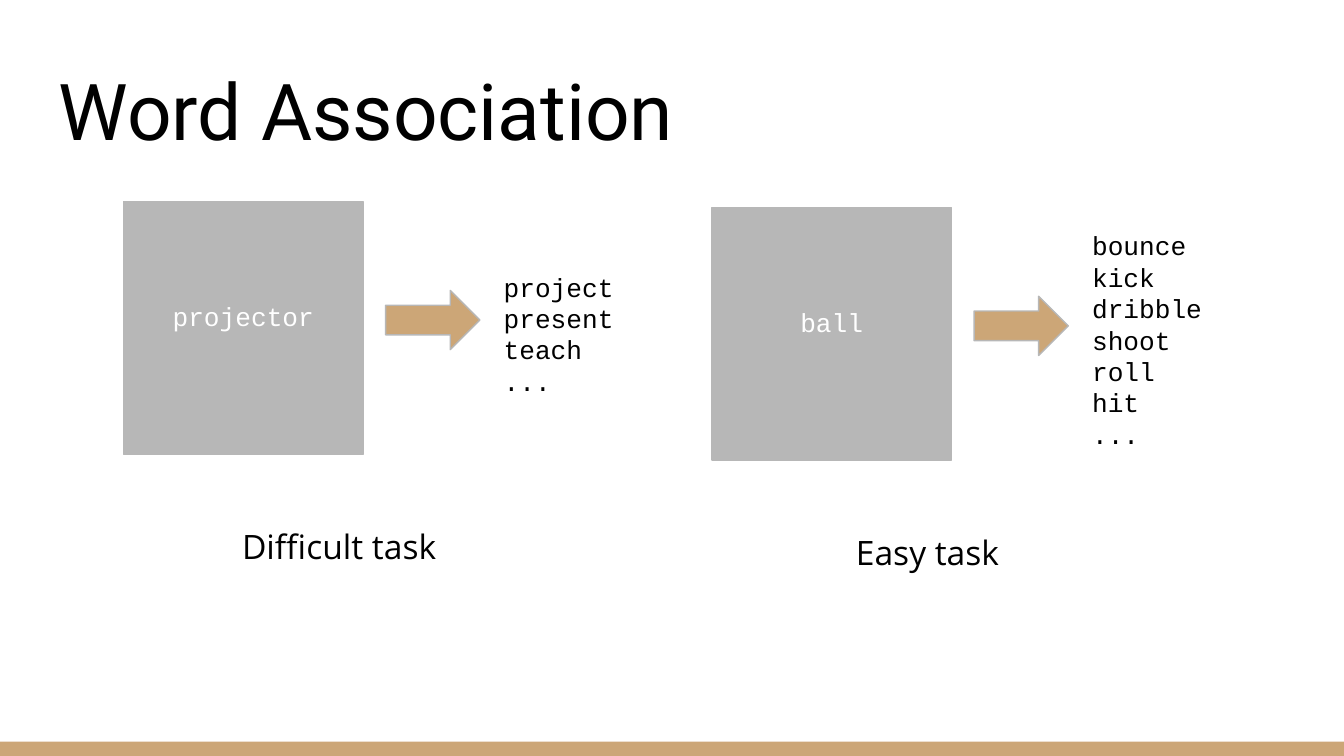
import pptx
import pptx.dml.color
import pptx.enum.shapes
import pptx.enum.text
import pptx.util

Cm = pptx.util.Cm
Pt = pptx.util.Pt
RGBColor = pptx.dml.color.RGBColor
SHAPE = pptx.enum.shapes.MSO_SHAPE
ANCHOR = pptx.enum.text.MSO_ANCHOR
ALIGN = pptx.enum.text.PP_ALIGN

TAN = RGBColor(0xCC, 0xA6, 0x77)
GREY = RGBColor(0xB7, 0xB7, 0xB7)
BLACK = RGBColor(0, 0, 0)
WHITE = RGBColor(0xFF, 0xFF, 0xFF)


class Deck:
    """Holds the style and the current slide."""

    heading_font = "Roboto"
    body_font = "Open Sans"
    word_font = "Courier New"
    inset = 0.25

    def __init__(self, prs):
        self.s = prs.slides.add_slide(prs.slide_layouts[6])

    def shape(self, kind, x, y, w, h, fill, line=None):
        sp = self.s.shapes.add_shape(kind, Cm(x), Cm(y), Cm(w), Cm(h))
        sp.shadow.inherit = False
        sp.fill.solid()
        sp.fill.fore_color.rgb = fill
        if line is None:
            sp.line.fill.background()
        else:
            sp.line.color.rgb = line
            sp.line.width = Pt(0.75)
        return sp

    def set_text(self, sp, lines, font, size, color=BLACK, anchor=ANCHOR.MIDDLE,
                 align=ALIGN.LEFT, spacing=1.0, bottom=inset):
        tf = sp.text_frame
        tf.word_wrap = True
        tf.vertical_anchor = anchor
        tf.margin_left = tf.margin_right = tf.margin_top = Cm(self.inset)
        tf.margin_bottom = Cm(bottom)
        tf.text = "\n".join(lines)
        for p in tf.paragraphs:
            p.alignment = align
            p.line_spacing = spacing
            p.font.name = font
            p.font.size = Pt(size)
            p.font.color.rgb = color

    def text(self, x, y, w, h, lines, font, size, **style):
        sp = self.s.shapes.add_textbox(Cm(x), Cm(y), Cm(w), Cm(h))
        self.set_text(sp, lines, font, size, **style)

    def title(self, text):
        self.text(0.86, 0.89, 23.67, 2.31, [text], self.heading_font, 42,
                  anchor=ANCHOR.BOTTOM)

    def task(self, dx, dy, word, answers, caption):
        box = self.shape(SHAPE.RECTANGLE, 2.34 + dx, 3.81 + dy, 4.52, 4.78, GREY, GREY)
        self.set_text(box, [word], self.word_font, 14, color=WHITE,
                      align=ALIGN.CENTER, spacing=1.15, bottom=0.79)
        self.shape(SHAPE.RIGHT_ARROW, 7.29 + dx, 5.49 + dy, 1.78, 1.12, TAN, GREY)
        self.text(9.27 + dx, 3.92 + dy, 3.73, 4.78, answers, self.word_font, 14)
        self.text(0.86 + dx, 9.58 + dy, 11.1, 3.73, [caption], self.body_font, 18,
                  anchor=ANCHOR.TOP, align=ALIGN.CENTER, spacing=1.15)


def main():
    prs = pptx.Presentation()
    prs.slide_width, prs.slide_height = Cm(25.4), Cm(14.29)
    deck = Deck(prs)
    deck.shape(SHAPE.RECTANGLE, 0, 14.02, 25.4, 0.27, TAN)
    deck.title("Word Association")
    deck.task(0, 0, "projector", ["project", "present", "teach", "..."],
              "Difficult task")
    deck.task(11.12, 0.11, "ball",
              ["bounce", "kick", "dribble", "shoot", "roll", "hit", "..."],
              "Easy task")
    prs.save("out.pptx")


if __name__ == "__main__":
    main()
